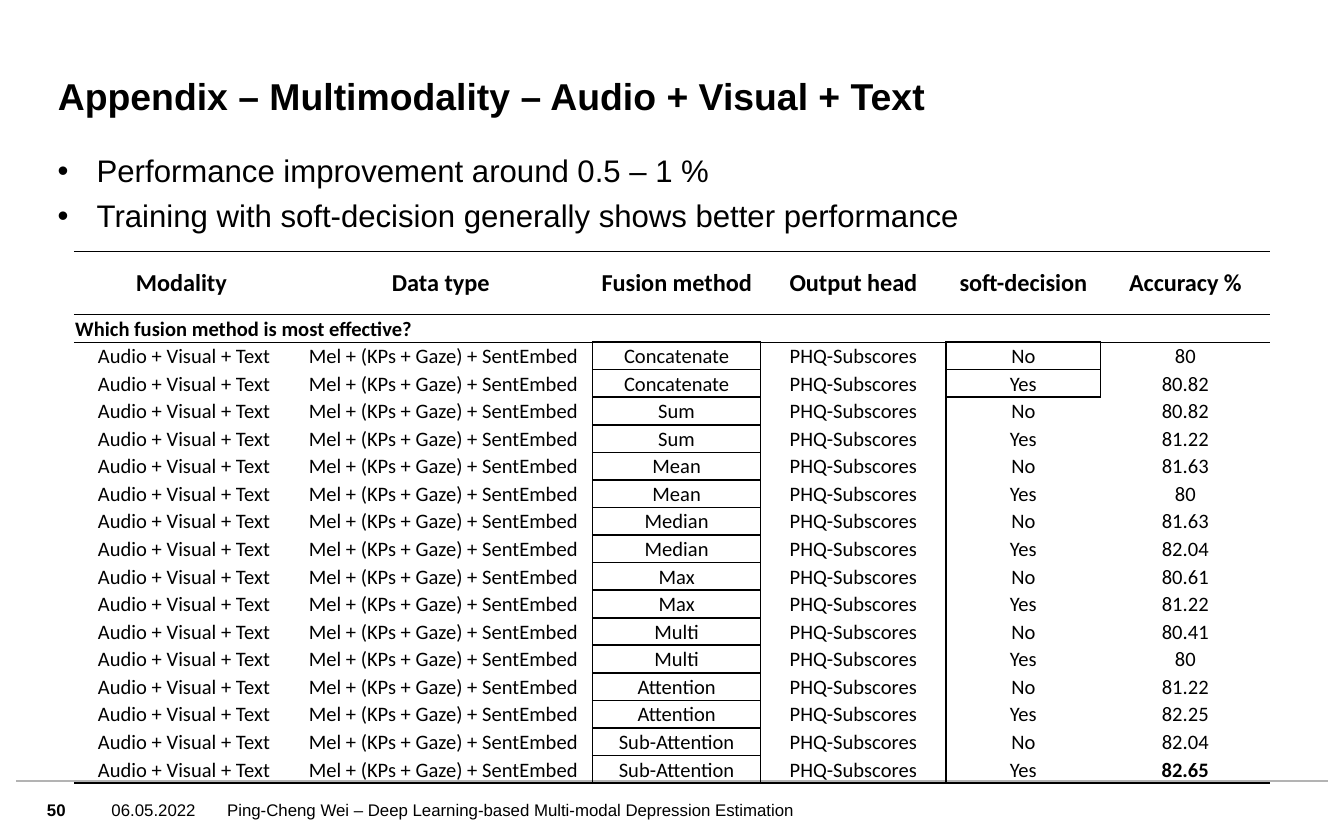
from lxml import etree
from pptx import Presentation
from pptx.dml.color import RGBColor
from pptx.enum.shapes import MSO_CONNECTOR
from pptx.enum.text import MSO_ANCHOR, PP_ALIGN
from pptx.oxml.ns import qn
from pptx.util import Inches, Pt

# Content
TITLE = "Appendix – Multimodality – Audio + Visual + Text"
POINTS = [
    "Performance improvement around 0.5 – 1 %",
    "Training with soft-decision generally shows better performance",
]
HEADS = ["Modality ", "Data type ", "Fusion method", "Output head",
         "soft-decision", "Accuracy %"]
ASK = "Which fusion method is most effective?"
INPUT = ["Audio + Visual + Text", "Mel + (KPs + Gaze) + SentEmbed"]
OUTPUT = "PHQ-Subscores"
# Fusion method: accuracy without and with soft-decision
SCORES = [
    ("Concatenate", "80", "80.82"),
    ("Sum", "80.82", "81.22"),
    ("Mean", "81.63", "80"),
    ("Median", "81.63", "82.04"),
    ("Max", "80.61", "81.22"),
    ("Multi", "80.41", "80"),
    ("Attention", "81.22", "82.25"),
    ("Sub-Attention", "82.04", "82.65"),
]
BEST = "82.65"
# Footer: text, left, width, bold
FOOTER = [
    ("50", 0.35, 0.36, True),
    ("06.05.2022", 0.83, 0.94, False),
    ("Ping-Cheng Wei – Deep Learning-based Multi-modal Depression Estimation",
     1.69, 5.2, False),
]

# Layout, in inches
WIDTH, HEIGHT = 10, 6.25
MARGIN = 0.43
LEFT, TOP = 0.55, 1.87
COLS = [1.64, 2.22, 1.25, 1.38, 1.15, 1.26]
HEAD_H, BODY_H = 0.47, 3.49
RULE_Y, FOOT_Y, FOOT_H = 5.81, 5.83, 0.39
FUSION, SOFT = 2, 4
BLACK, GREY = "000000", "B3B3B3"
PLAIN = "{2D5ABB26-0587-4C30-8999-92F81FD0307C}"  # no style, no grid


def color(code):
    return RGBColor.from_string(code)


def write(para, text, size, face="Arial", bold=False):
    run = para.add_run()
    run.text = text
    font = run.font
    font.size, font.name, font.bold = Pt(size), face, bold
    font.color.rgb = color(BLACK)


def frame(shape, anchor):
    text = shape.text_frame
    text.word_wrap = True
    text.vertical_anchor = anchor
    text.margin_left = text.margin_right = 0
    text.margin_top = text.margin_bottom = 0
    return text


def box(x, y, w, h, anchor):
    return frame(slide.shapes.add_textbox(*map(Inches, (x, y, w, h))), anchor)


def bullet(para):
    props = para._p.get_or_add_pPr()
    props.set("marL", str(Inches(0.29)))
    props.set("indent", str(-Inches(0.29)))
    etree.SubElement(props, qn("a:buFont"), typeface="Arial")
    etree.SubElement(props, qn("a:buChar"), char="•")


def border(cell, sides):
    props = cell._tc.get_or_add_tcPr()
    for side in "LRTB":
        if side in sides:
            line = etree.SubElement(props, qn("a:ln" + side),
                                    w=str(Pt(sides[side])))
            fill = etree.SubElement(line, qn("a:solidFill"))
            etree.SubElement(fill, qn("a:srgbClr"), val=BLACK)


def edges(row, col, last):
    """Border widths in points for one cell."""
    if row == 0:
        return {"T": 1, "B": 0.5}
    if row == 1:
        return {"T": 0.5}
    sides = {}
    soft = row in (2, 3)  # the first pair is boxed in the soft-decision column
    if col == FUSION or (col == SOFT and soft):
        sides.update(L=1, R=1)
    if col == FUSION - 1 or (col == SOFT - 1 and soft):
        sides["R"] = 1
    if col == FUSION + 1 or (col == SOFT + 1 and soft):
        sides["L"] = 1
    if col == FUSION:
        sides["B" if row % 2 else "T"] = 1
    if col == SOFT and soft:
        sides.update(T=1, B=1)
    if row == last:
        sides["B"] = 1
    return sides


deck = Presentation()
deck.slide_width, deck.slide_height = Inches(WIDTH), Inches(HEIGHT)
slide = deck.slides.add_slide(deck.slide_layouts[5])

# Title
title = slide.shapes.title
title.left, title.top = Inches(MARGIN), Inches(0.37)
title.width, title.height = Inches(7.56), Inches(0.51)
para = frame(title, MSO_ANCHOR.BOTTOM).paragraphs[0]
para.alignment = PP_ALIGN.LEFT
write(para, TITLE, 20, bold=True)

# Footer
rule = slide.shapes.add_connector(
    MSO_CONNECTOR.STRAIGHT, Inches(0.12), Inches(RULE_Y),
    Inches(WIDTH - 0.12), Inches(RULE_Y))
rule.line.color.rgb, rule.line.width = color(GREY), Pt(1)
etree.SubElement(rule._element.spPr, qn("a:effectLst"))
for text, x, w, bold in FOOTER:
    note = box(x, FOOT_Y, w, FOOT_H, MSO_ANCHOR.MIDDLE)
    write(note.paragraphs[0], text, 9, bold=bold)

# Bullet points
body = box(MARGIN, 1.13, WIDTH - 2 * MARGIN, 0.7, MSO_ANCHOR.TOP)
for i, text in enumerate(POINTS):
    para = body.add_paragraph() if i else body.paragraphs[0]
    if i:
        para.space_before = Pt(4)
    bullet(para)
    write(para, text, 16.7)

# Results table
rows = [HEADS, [ASK] + [""] * (len(HEADS) - 1)]
for method, *pair in SCORES:
    for soft, score in zip(("No", "Yes"), pair):
        rows.append([*INPUT, method, OUTPUT, soft, score])
last = len(rows) - 1
shape = slide.shapes.add_table(
    len(rows), len(COLS), Inches(LEFT), Inches(TOP),
    Inches(sum(COLS)), Inches(HEAD_H + BODY_H))
table = shape.table
table._tbl.tblPr.find(qn("a:tableStyleId")).text = PLAIN
table.first_row = table.horz_banding = False
for col, w in zip(table.columns, COLS):
    col.width = Inches(w)
for r, row in enumerate(rows):
    table.rows[r].height = Inches(BODY_H / last if r else HEAD_H)
    for c, text in enumerate(row):
        cell = table.cell(r, c)
        cell.margin_left = cell.margin_right = cell.margin_top = Inches(0.01)
        cell.margin_bottom = 0
        cell.vertical_anchor = MSO_ANCHOR.MIDDLE
        border(cell, edges(r, c, last))
        cell.fill.background()
        para = cell.text_frame.paragraphs[0]
        para.alignment = PP_ALIGN.LEFT if r == 1 else PP_ALIGN.CENTER
        if text:
            write(para, text, 11 if r else 13, "Calibri",
                  r < 2 or text == BEST)
        else:
            para.font.size = Pt(11)
table.cell(1, 0).merge(table.cell(1, len(COLS) - 1))

deck.save("out.pptx")
